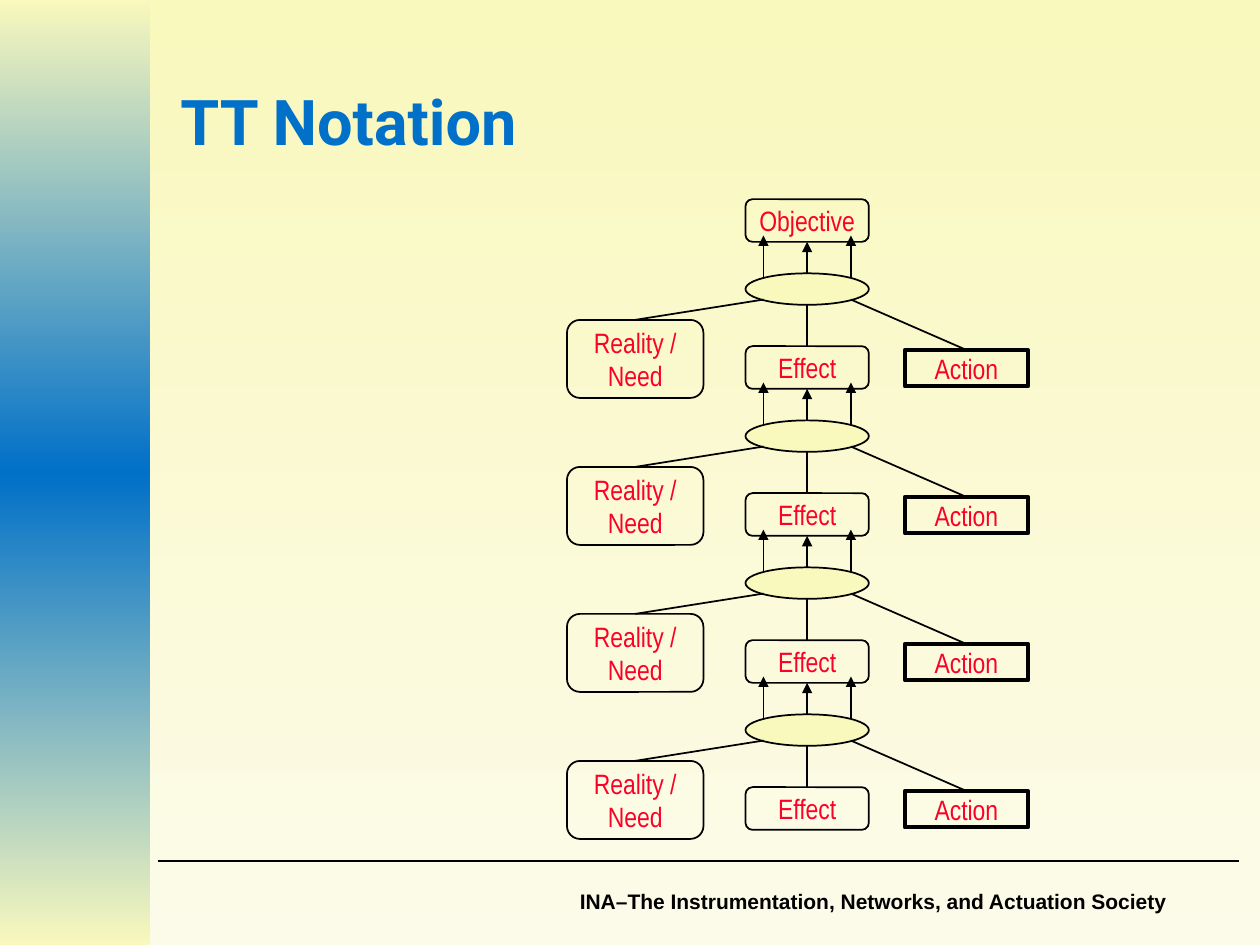
from copy import deepcopy

from pptx import Presentation
from pptx.dml.color import RGBColor
from pptx.enum.shapes import MSO_CONNECTOR, MSO_SHAPE
from pptx.enum.text import MSO_ANCHOR, PP_ALIGN
from pptx.oxml.ns import qn
from pptx.oxml.xmlchemy import OxmlElement
from pptx.util import Pt

COLORS = {"cream": "F9F8BD", "ivory": "FCFBEA", "blue": "0070C8", "red": "FC0128", "black": "000000"}


def rgb(name):
    """Return the named colour."""
    return RGBColor.from_string(COLORS[name])


def set_gradient(fill, names):
    """Colour a top-to-bottom gradient with evenly spaced stops."""
    fill.gradient_angle = 270
    for i, (stop, name) in enumerate(zip(fill.gradient_stops, names)):
        stop.color.rgb = rgb(name)
        stop.position = i / (len(names) - 1)


def add_run(p, text, font, size, color, bold=False):
    """Add one formatted run to a paragraph."""
    r = p.add_run()
    r.text = text
    r.font.name, r.font.size, r.font.bold = font, Pt(size), bold
    r.font.color.rgb = rgb(color)


def add_text(s, x, y, w, h, text, font, size, color, align, anchor):
    """Add a bold single-line text box."""
    tf = s.shapes.add_textbox(Pt(x), Pt(y), Pt(w), Pt(h)).text_frame
    tf.word_wrap = True
    tf.vertical_anchor = anchor
    p = tf.paragraphs[0]
    p.alignment = align
    add_run(p, text, font, size, color, True)


def add_node(s, kind, x, y, w, h, text="", line=1, fill=None, wrap=True):
    """Add an outlined tree node with an optional red label."""
    sp = s.shapes.add_shape(kind, Pt(x), Pt(y), Pt(w), Pt(h))
    sp.shadow.inherit = False
    if fill:
        sp.fill.solid()
        sp.fill.fore_color.rgb = rgb(fill)
    else:
        sp.fill.background()
    sp.line.color.rgb = rgb("black")
    sp.line.width = Pt(line)
    if text:
        tf = sp.text_frame
        tf.word_wrap = wrap
        tf.vertical_anchor = MSO_ANCHOR.MIDDLE
        tf.margin_left = tf.margin_right = Pt(1.44)
        tf.margin_top = tf.margin_bottom = Pt(0.72)
        p = tf.paragraphs[0]
        p.alignment = PP_ALIGN.CENTER
        add_run(p, text, "Arial Narrow", 16, "red")
    return sp


def add_line(s, x1, y1, x2, y2, start=None, end=None, arrow=False):
    """Add a thin line, joined to a start node's top or an end node's bottom."""
    c = s.shapes.add_connector(MSO_CONNECTOR.STRAIGHT, Pt(x1), Pt(y1), Pt(x2), Pt(y2))
    c.line.color.rgb = rgb("black")
    c.line.width = Pt(1)
    if arrow:
        tail = OxmlElement("a:tailEnd")
        tail.set("type", "triangle")
        c.line._get_or_add_ln().append(tail)
    c.element.spPr.append(OxmlElement("a:effectLst"))
    if start is not None:
        c.begin_connect(start, 0)
    if end is not None:
        c.end_connect(end, 2)


def add_frame(s, w, h):
    """Add the background, side band, rule and footer."""
    fill = s.background.fill
    fill.gradient()
    set_gradient(fill, ["cream", "ivory"])
    band = s.shapes.add_shape(MSO_SHAPE.RECTANGLE, 0, 0, Pt(85.7), Pt(h))
    band.shadow.inherit = False
    band.line.fill.background()
    band.fill.gradient()
    stops = band.element.spPr.find(qn("a:gradFill")).find(qn("a:gsLst"))
    stops.insert(1, deepcopy(stops[0]))
    set_gradient(band.fill, ["cream", "blue", "cream"])
    add_line(s, 90, h - 48, w - 12, h - 48)
    add_text(s, 264, h - 36, 410, 21.6, "INA–The Instrumentation, Networks, and Actuation Society",
             "Arial", 12, "black", PP_ALIGN.RIGHT, MSO_ANCHOR.TOP)


def add_level(s, x, y, parent):
    """Add one tree level below its parent and return the effect node."""
    mid = x + 137.25
    left, right = mid - 25, mid + 25
    need = add_node(s, MSO_SHAPE.ROUNDED_RECTANGLE, x, y + 69, 78, 44.6, "Reality / Need")
    effect = add_node(s, MSO_SHAPE.ROUNDED_RECTANGLE, x + 102, y + 84, 70.5, 24.4, "Effect", wrap=False)
    action = add_node(s, MSO_SHAPE.RECTANGLE, x + 193, y + 86.2, 70.5, 20.8, "Action", line=2.25)
    add_node(s, MSO_SHAPE.OVAL, x + 102, y + 42.4, 70.5, 18, fill="cream")
    for side in (left, right):
        add_line(s, side, y + 45, side, y + 20.8, arrow=True)
    add_line(s, mid, y + 42.4, mid, y + 24.4, end=parent, arrow=True)
    add_line(s, x + 39, y + 69, left, y + 57.4, start=need)
    add_line(s, mid, y + 84, mid, y + 60.4, start=effect)
    add_line(s, x + 228.25, y + 86.2, right, y + 57.4, start=action)
    return effect


def add_tree(s, x, y, levels=4, pitch=84):
    """Add the objective and the levels that lead up to it."""
    parent = add_node(s, MSO_SHAPE.ROUNDED_RECTANGLE, x + 102, y, 70.5, 24.4, "Objective", wrap=False)
    for i in range(levels):
        parent = add_level(s, x, y + i * pitch, parent)


def main():
    """Build and save the slide."""
    prs = Presentation()
    prs.slide_width, prs.slide_height = Pt(720), Pt(540)
    s = prs.slides.add_slide(prs.slide_layouts[6])
    add_frame(s, 720, 540)
    add_text(s, 96, 24, 608, 90, "TT Notation", "Roboto", 36, "blue", PP_ALIGN.LEFT, MSO_ANCHOR.MIDDLE)
    add_tree(s, 324, 113.8)
    prs.save("out.pptx")


if __name__ == "__main__":
    main()
